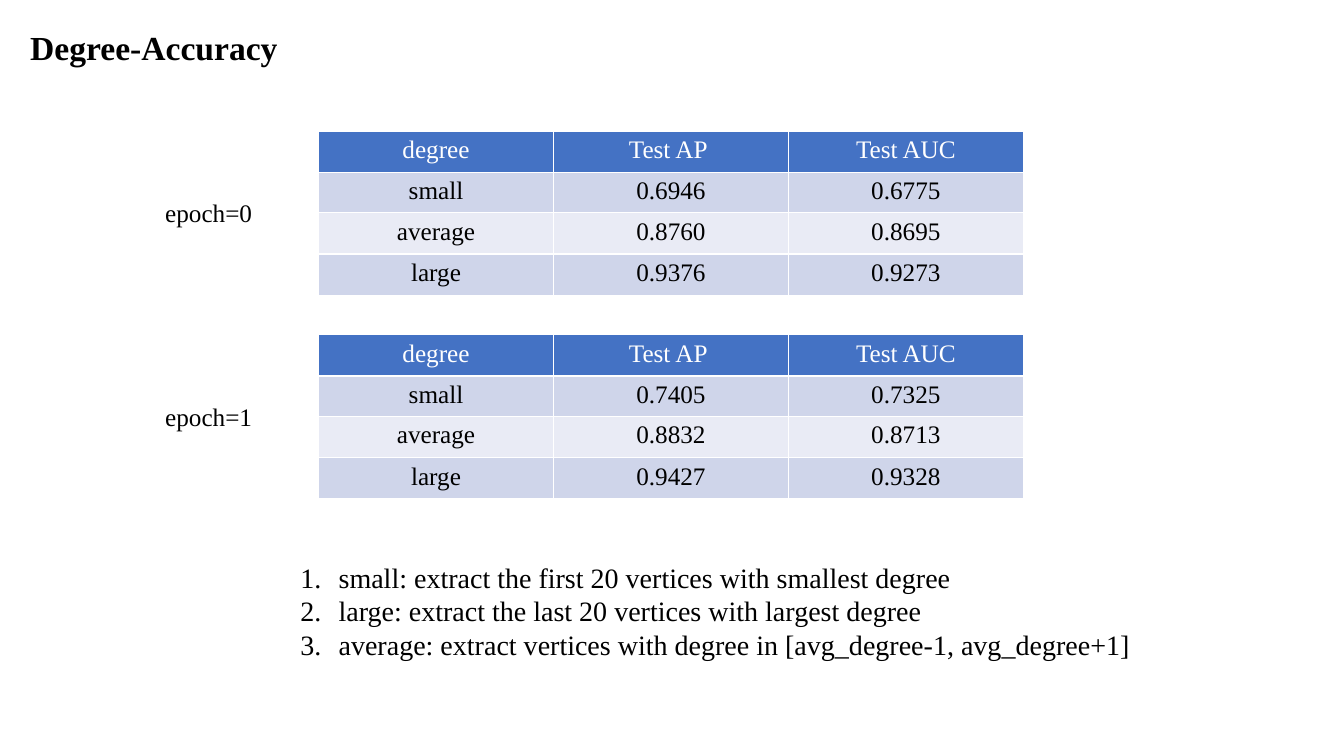
from dataclasses import dataclass

from lxml.etree import SubElement
from pptx import Presentation
from pptx.dml.color import RGBColor as Color
from pptx.enum.text import MSO_ANCHOR as Anchor, MSO_AUTO_SIZE as AutoSize, PP_ALIGN as Align
from pptx.oxml.ns import qn
from pptx.util import Inches, Pt


@dataclass(frozen=True)
class Theme:
    font: str = "Times New Roman"
    text: str = "000000"
    header_text: str = "FFFFFF"
    header_fill: str = "4472C4"
    band_fills: tuple = ("CFD5EA", "E9EBF5")
    title_size: int = 24
    body_size: int = 18
    note_size: int = 20


class SlideBuilder:
    def __init__(self, slide, theme):
        self.slide = slide
        self.theme = theme

    def style(self, paragraph, size, color, bold=False):
        for run in paragraph.runs:
            run.font.name = self.theme.font
            run.font.size = Pt(size)
            run.font.bold = bold
            run.font.color.rgb = Color.from_string(color)

    def text(self, content, left, top, width, height, size, bold=False):
        shape = self.slide.shapes.add_textbox(
            Inches(left), Inches(top), Inches(width), Inches(height))
        text_frame = shape.text_frame
        text_frame.word_wrap = False
        text_frame.auto_size = AutoSize.SHAPE_TO_FIT_TEXT
        text_frame.text = content
        for paragraph in text_frame.paragraphs:
            self.style(paragraph, size, self.theme.text, bold)
        return text_frame

    def numbered_list(self, items, left, top, width, height):
        text_frame = self.text("\n".join(items), left, top, width, height, self.theme.note_size)
        indent = Inches(0.38)
        for paragraph in text_frame.paragraphs:
            properties = paragraph._p.get_or_add_pPr()
            properties.set("marL", str(indent))
            properties.set("indent", str(-indent))
            SubElement(properties, qn("a:buFont"), typeface="+mj-lt")
            SubElement(properties, qn("a:buAutoNum"), type="arabicPeriod")

    def table(self, rows, left, top, column_width, row_heights):
        table = self.slide.shapes.add_table(
            len(rows), len(rows[0]), Inches(left), Inches(top),
            Inches(column_width * len(rows[0])), Inches(sum(row_heights))).table
        for column in table.columns:
            column.width = Inches(column_width)
        for row_index, (values, height) in enumerate(zip(rows, row_heights)):
            table.rows[row_index].height = Inches(height)
            is_header = row_index == 0
            color = self.theme.header_text if is_header else self.theme.text
            fill = self.theme.header_fill if is_header else self.theme.band_fills[(row_index - 1) % 2]
            for column_index, value in enumerate(values):
                cell = table.cell(row_index, column_index)
                cell.fill.solid()
                cell.fill.fore_color.rgb = Color.from_string(fill)
                cell.vertical_anchor = Anchor.TOP
                cell.text_frame.text = value
                paragraph = cell.text_frame.paragraphs[0]
                paragraph.alignment = Align.CENTER
                self.style(paragraph, self.theme.body_size, color)


HEADER = ("degree", "Test AP ", "Test AUC")
DEGREES = ("small", "average", "large")
EPOCHS = (
    (1.3, 0.38, (("0.6946", "0.6775"), ("0.8760", "0.8695"), ("0.9376", "0.9273"))),
    (3.32, 0.4, (("0.7405", "0.7325"), ("0.8832", "0.8713"), ("0.9427", "0.9328"))),
)
NOTES = (
    "small: extract the first 20 vertices with smallest degree",
    "large: extract the last 20 vertices with largest degree",
    "average: extract vertices with degree in [avg_degree-1, avg_degree+1]",
)


def main():
    presentation = Presentation()
    presentation.slide_width = Inches(13.33)
    presentation.slide_height = Inches(7.5)
    theme = Theme()
    builder = SlideBuilder(presentation.slides.add_slide(presentation.slide_layouts[6]), theme)

    builder.text("Degree-Accuracy", 0.2, 0.22, 2.68, 0.5, theme.title_size, bold=True)
    for epoch, (top, small_row_height, scores) in enumerate(EPOCHS):
        rows = [HEADER] + [(degree, *pair) for degree, pair in zip(DEGREES, scores)]
        builder.table(rows, 3.16, top, 2.33, (0.41, small_row_height, 0.41, 0.41))
        builder.text(f"epoch={epoch}", 1.54, top + 0.61, 1.07, 0.4, theme.body_size)
    builder.numbered_list(NOTES, 2.88, 5.51, 8.48, 1.11)

    presentation.save("out.pptx")


if __name__ == "__main__":
    main()
